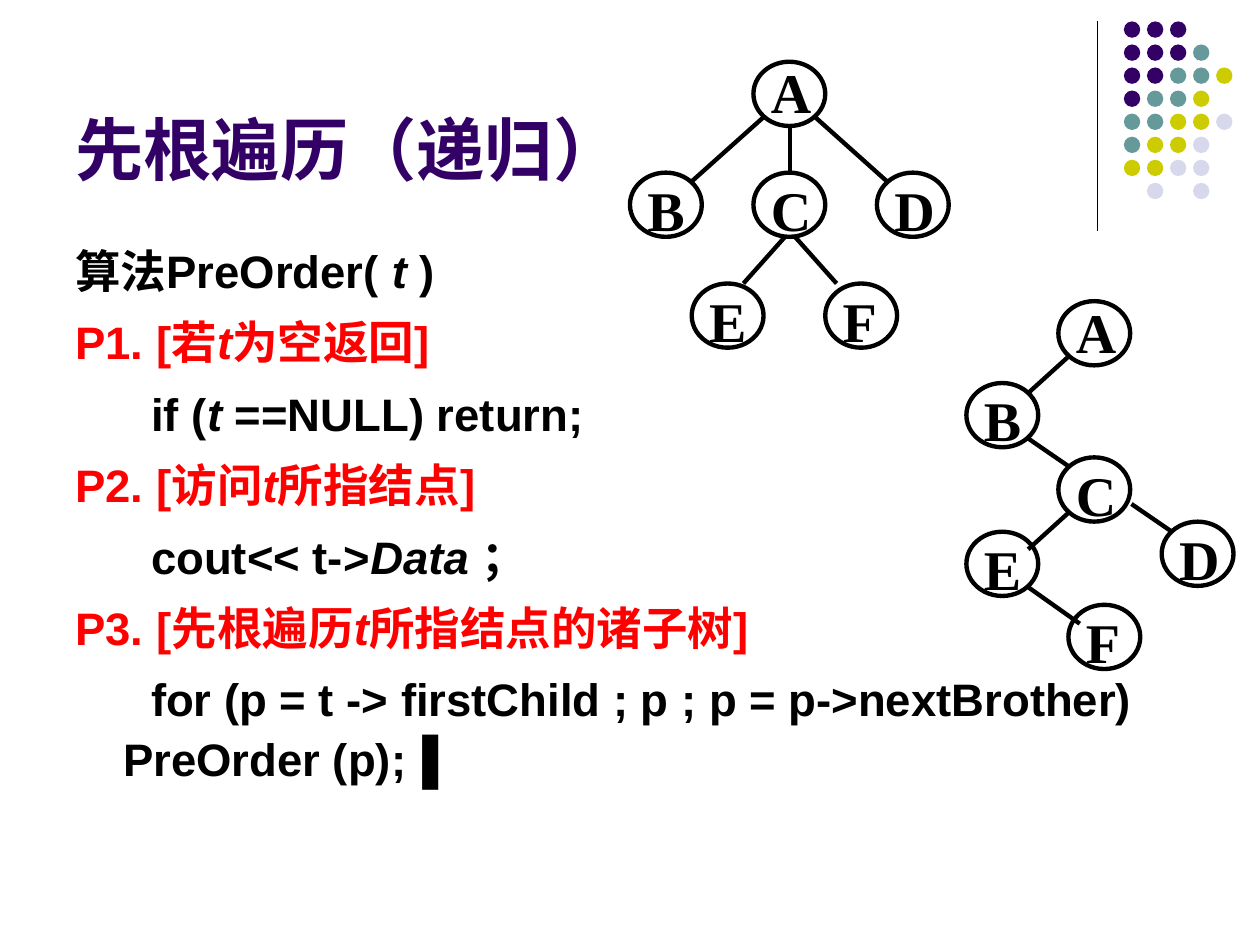
from lxml import etree
from pptx import Presentation
from pptx.dml.color import RGBColor
from pptx.enum.shapes import MSO_CONNECTOR, MSO_SHAPE
from pptx.enum.text import MSO_ANCHOR, MSO_AUTO_SIZE
from pptx.oxml.ns import qn
from pptx.util import Inches, Pt

OVAL = MSO_SHAPE.OVAL
LINE = MSO_CONNECTOR.STRAIGHT
TOP, BOTTOM = MSO_ANCHOR.TOP, MSO_ANCHOR.BOTTOM
GROW = MSO_AUTO_SIZE.SHAPE_TO_FIT_TEXT
BLACK = RGBColor(0x00, 0x00, 0x00)
RED = RGBColor(0xFF, 0x00, 0x00)
PURPLE = RGBColor(0x33, 0x00, 0x66)
TEAL = RGBColor(0x66, 0x99, 0x99)
LIME = RGBColor(0xCC, 0xCC, 0x00)
PALE = RGBColor(0xD8, 0xD8, 0xEC)

prs = Presentation()
prs.slide_width, prs.slide_height = Inches(10), Inches(7.5)
U = prs.slide_width / 10
slide = prs.slides.add_slide(prs.slide_layouts[6])
shapes = slide.shapes


def add_line(x1, y1, x2, y2, width):
    line = shapes.add_connector(LINE, *(round(v * U) for v in (x1, y1, x2, y2)))
    line.line.color.rgb = BLACK
    line.line.width = Pt(width)
    etree.SubElement(line._element.spPr, qn("a:effectLst"))


def add_text(area, lines, size, face, anchor=TOP):
    box = shapes.add_textbox(*(round(v * U) for v in area))
    frame = box.text_frame
    frame.word_wrap = True
    frame.vertical_anchor = anchor
    for n, (color, parts) in enumerate(lines):
        para = frame.add_paragraph() if n else frame.paragraphs[0]
        for i, part in enumerate(parts):
            run = para.add_run()
            run.text = part
            font = run.font
            font.size, font.name, font.bold = Pt(size), face, True
            font.italic = i % 2 == 1
            font.color.rgb = color
    return frame


add_line(8.71, 0.17, 8.71, 1.83, 0.75)

HUES = {"P": PURPLE, "T": TEAL, "L": LIME, "G": PALE}
DOTS = ["PPP", "PPPT", "PPTTL", "PTTL", "TTLLG", "TLLG", "LLGG", " G G"]
for row, marks in enumerate(DOTS):
    for col, mark in enumerate(marks):
        if mark in HUES:
            x, y = 8.92 + 0.183 * col, 0.17 + 0.183 * row
            dot = shapes.add_shape(OVAL, *(round(v * U) for v in (x, y, 0.13, 0.13)))
            dot.shadow.inherit = False
            dot.fill.solid()
            dot.fill.fore_color.rgb = HUES[mark]
            dot.line.fill.background()

add_text((0.5, 0.13, 8.25, 1.42), [(PURPLE, ["先根遍历（递归）"])], 39, "Arial", BOTTOM)

STEPS = [
    (BLACK, ["算法PreOrder( ", "t ", ")"]),
    (RED, ["P1. [若", "t", "为空返回]"]),
    (BLACK, ["      if (", "t", " ==NULL) return;"]),
    (RED, ["P2. [访问", "t", "所指结点]"]),
    (BLACK, ["      cout<< t->", "Data ", "；"]),
    (RED, ["P3. [先根遍历", "t", "所指结点的诸子树]"]),
    (BLACK, ["      for (p = t -> firstChild ; p ; p = p->nextBrother) PreOrder (p);▐"]),
]
body = add_text((0.5, 1.88, 9, 4.82), STEPS, 26, "Arial")
for n, para in enumerate(body.paragraphs):
    props = para._p.get_or_add_pPr()
    props.set("marL", str(round(0.38 * U)))
    props.set("indent", str(round(-0.38 * U)))
    if n:
        para.space_before = Pt(6.5)
        para.line_spacing = 1.1

TREES = [
    (
        {"A": (5.98, 0.49), "C": (5.98, 1.37), "B": (5, 1.37),
         "F": (6.55, 2.25), "D": (6.96, 1.37), "E": (5.49, 2.25)},
        [(6.27, 1, 6.27, 1.37), (6.06, 0.93, 5.49, 1.44), (6.47, 0.93, 7.04, 1.44),
         (6.23, 1.88, 5.9, 2.25), (6.31, 1.88, 6.64, 2.25)],
    ),
    (
        {"A": (8.4, 2.39), "C": (8.4, 3.63), "B": (7.67, 3.04),
         "F": (8.48, 4.8), "D": (9.22, 4.14), "E": (7.67, 4.22)},
        [(8.48, 2.83, 8.16, 3.12), (8.16, 3.48, 8.48, 3.7), (8.48, 4.07, 8.16, 4.36),
         (8.16, 4.66, 8.57, 4.95), (8.98, 4, 9.3, 4.22)],
    ),
]
for nodes, links in TREES:
    for name, (x, y) in nodes.items():
        ring = shapes.add_shape(OVAL, *(round(v * U) for v in (x, y, 0.57, 0.51)))
        ring.shadow.inherit = False
        ring.fill.background()
        ring.line.color.rgb = BLACK
        ring.line.width = Pt(2.5)
        root = name == "A"
        area = (x + 0.04, y - 0.08, 0.57, 0.64 if root else 0.69)
        label = add_text(area, [(BLACK, [name])], 32, "Times New Roman")
        label.auto_size = GROW
        if not root:
            label.paragraphs[0].line_spacing = 1.1
    for link in links:
        add_line(*link, 2.5)

prs.save("out.pptx")
